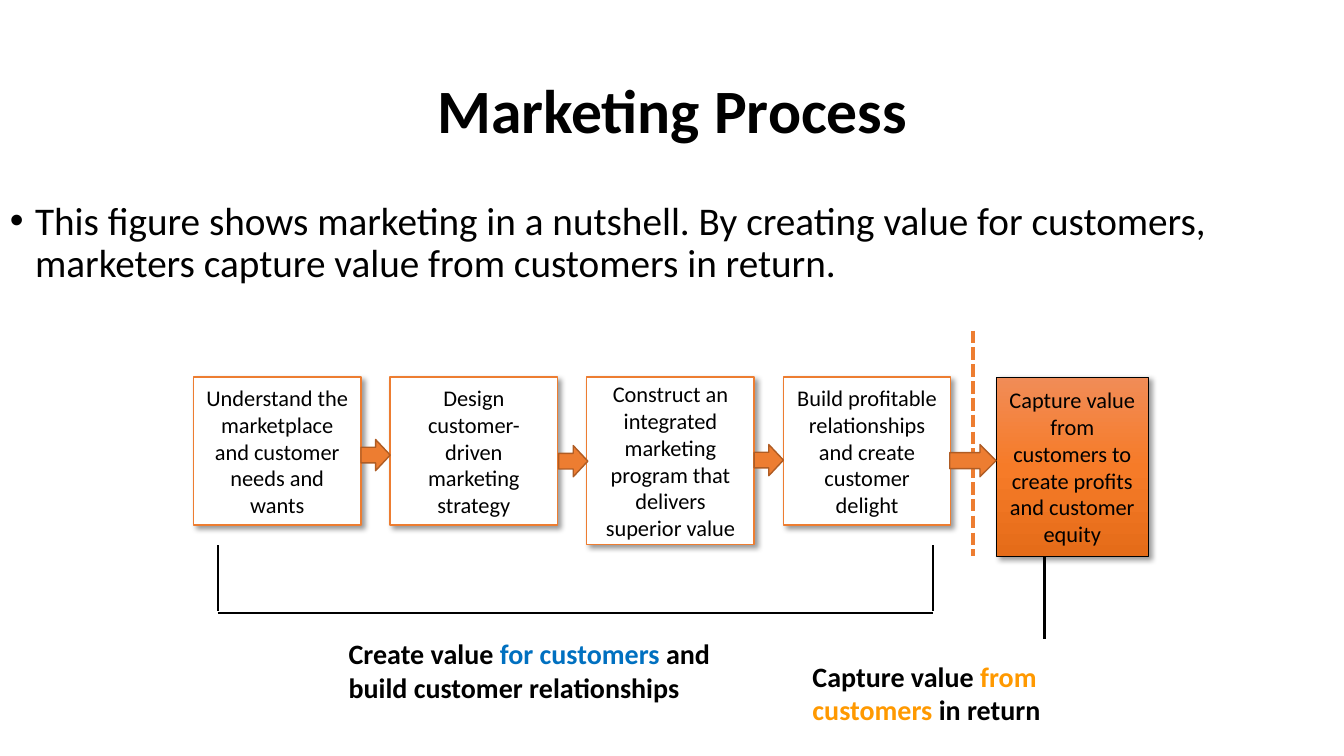
import copy
from dataclasses import dataclass

import pptx
import pptx.dml.color
import pptx.enum.dml
import pptx.enum.shapes
import pptx.enum.text
import pptx.oxml
import pptx.oxml.ns
import pptx.util

PX = 9144  # EMU per px, 100 px to the inch
NS = 'xmlns:a="http://schemas.openxmlformats.org/drawingml/2006/main"'
SHAPE = pptx.enum.shapes.MSO_SHAPE
ALIGN = pptx.enum.text.PP_ALIGN
ANCHOR = pptx.enum.text.MSO_ANCHOR


@dataclass(frozen=True)
class Theme:
    font: str = "Calibri"
    ink: str = "000000"
    paper: str = "FFFFFF"
    accent: str = "ED7D31"
    arrow_edge: str = "AF5C24"
    customers: str = "0070C0"
    returns: str = "FF9900"
    gradient: tuple[str, ...] = ("F18C57", "F67B28", "E56C19")
    title: int = 44
    body: int = 28
    label: int = 20
    step: int = 16


@dataclass(frozen=True)
class Box:
    x: int
    y: int
    w: int
    h: int


@dataclass(frozen=True)
class Run:
    text: str
    color: str


@dataclass(frozen=True)
class Step:
    text: str
    h: int


@dataclass(frozen=True)
class Line:
    x1: int
    y1: int
    x2: int
    y2: int
    color: str
    width: float = 1.5
    dashed: bool = False


T = Theme()

# Process steps, evenly spaced
STEP_X, STEP_Y, STEP_W, STEP_PITCH = 192, 374, 166, 195
STEPS = [
    Step("Understand the marketplace and customer needs and wants", 147),
    Step("Design customer-driven marketing strategy", 147),
    Step("Construct an integrated marketing program that delivers superior value", 166),
    Step("Build profitable relationships and create customer delight", 147),
]
CAPTURE = Box(988, STEP_Y, 151, 178)
ARROWS = [Box(358, 436, 29, 31), Box(554, 442, 29, 31),
          Box(748, 441, 29, 31), Box(942, 441, 46, 32)]
DIVIDER = Line(965, 328, 965, 552, T.accent, 3, True)
BRACKETS = [
    Line(925, 541, 925, 606, T.ink),
    Line(216, 541, 216, 606, T.ink),
    Line(216, 608, 925, 608, T.ink),
    Line(1036, 552, 1036, 634, T.ink),
]


def rgb(color: str) -> pptx.dml.color.RGBColor:
    return pptx.dml.color.RGBColor.from_string(color)


def emu(*lengths: int) -> list[int]:
    return [pptx.util.Emu(n * PX) for n in lengths]


def write(sp, runs: list[Run], size: int, bold: bool = False,
          align=ALIGN.LEFT, anchor=ANCHOR.TOP):
    tf = sp.text_frame
    for name, value in {"word_wrap": True, "vertical_anchor": anchor}.items():
        setattr(tf, name, value)
    p = tf.paragraphs[0]
    p.alignment = align
    for run in runs:
        r = p.add_run()
        r.text = run.text
        fmt = {"name": T.font, "size": pptx.util.Pt(size), "bold": bold}
        for name, value in fmt.items():
            setattr(r.font, name, value)
        r.font.color.rgb = rgb(run.color)
    return p


def add_text(s, box: Box, runs: list[Run], size: int, **layout):
    sp = s.shapes.add_textbox(*emu(box.x, box.y, box.w, box.h))
    return write(sp, runs, size, **layout)


def add_block(s, kind, box: Box, fill: str, edge: str, width: float = 1):
    sp = s.shapes.add_shape(kind, *emu(box.x, box.y, box.w, box.h))
    sp.shadow.inherit = False
    sp.fill.solid()
    sp.fill.fore_color.rgb = rgb(fill)
    sp.line.color.rgb = rgb(edge)
    sp.line.width = pptx.util.Pt(width)
    return sp


def add_card(s, box: Box, text: str, edge: str, width: float = 1):
    sp = add_block(s, SHAPE.RECTANGLE, box, T.paper, edge, width)
    effects = sp._element.spPr.find(pptx.oxml.ns.qn("a:effectLst"))
    effects.append(pptx.oxml.parse_xml(
        f'<a:outerShdw {NS} blurRad="50800" dist="38100" dir="2700000" '
        f'algn="tl" rotWithShape="0"><a:srgbClr val="{T.ink}">'
        '<a:alpha val="40000"/></a:srgbClr></a:outerShdw>'))
    write(sp, [Run(text, T.ink)], T.step, align=ALIGN.CENTER, anchor=ANCHOR.MIDDLE)
    return sp


def shade(sp, colors: tuple[str, ...]) -> None:
    sp.fill.gradient()
    sp.fill.gradient_angle = 270
    first = sp._element.spPr.find(".//" + pptx.oxml.ns.qn("a:gs"))
    first.addnext(copy.deepcopy(first))
    for i, (stop, color) in enumerate(zip(sp.fill.gradient_stops, colors)):
        stop.position = i / (len(colors) - 1)
        stop.color.rgb = rgb(color)


def add_line(s, line: Line) -> None:
    cn = s.shapes.add_connector(pptx.enum.shapes.MSO_CONNECTOR.STRAIGHT,
                                *emu(line.x1, line.y1, line.x2, line.y2))
    cn.line.color.rgb = rgb(line.color)
    cn.line.width = pptx.util.Pt(line.width)
    if line.dashed:
        cn.line.dash_style = pptx.enum.dml.MSO_LINE.SQUARE_DOT
    cn._element.spPr.append(pptx.oxml.parse_xml(f"<a:effectLst {NS}/>"))


def main() -> None:
    prs = pptx.Presentation()
    prs.slide_width, prs.slide_height = emu(1333, 750)
    s = prs.slides.add_slide(prs.slide_layouts[6])

    # Title and introduction
    p = add_text(s, Box(92, 40, 1150, 145), [Run("Marketing Process", T.ink)],
                 T.title, bold=True, align=ALIGN.CENTER, anchor=ANCHOR.MIDDLE)
    p.line_spacing = 0.9
    p = add_text(s, Box(0, 195, 1333, 555), [Run(
        "This figure shows marketing in a nutshell. By creating value for customers, "
        "marketers capture value from customers in return.", T.ink)], T.body)
    p.line_spacing = 0.9
    pPr = p._p.get_or_add_pPr()
    for name, value in {"marL": 25 * PX, "indent": -25 * PX}.items():
        pPr.set(name, str(value))
    for tag in ('buFont {} typeface="Arial"', 'buChar {} char="•"'):
        pPr.append(pptx.oxml.parse_xml(f"<a:{tag.format(NS)}/>"))

    # Process chain
    for i, step in enumerate(STEPS):
        add_card(s, Box(STEP_X + i * STEP_PITCH, STEP_Y, STEP_W, step.h),
                 step.text, T.accent)
    add_line(s, DIVIDER)
    capture = add_card(s, CAPTURE, "Capture value from customers to create "
                       "profits and customer equity", T.ink, 0.5)
    shade(capture, T.gradient)
    for box in ARROWS:
        add_block(s, SHAPE.RIGHT_ARROW, box, T.accent, T.arrow_edge)

    # Brackets and their labels
    for line in BRACKETS:
        add_line(s, line)
    add_text(s, Box(336, 627, 433, 76), [
        Run("Create value ", T.ink), Run("for customers ", T.customers),
        Run("and build customer relationships", T.ink)], T.label, bold=True)
    add_text(s, Box(796, 649, 338, 76), [
        Run("Capture value ", T.ink), Run("from customers", T.returns),
        Run(" in return", T.ink)], T.label, bold=True)

    prs.save("out.pptx")


if __name__ == "__main__":
    main()
